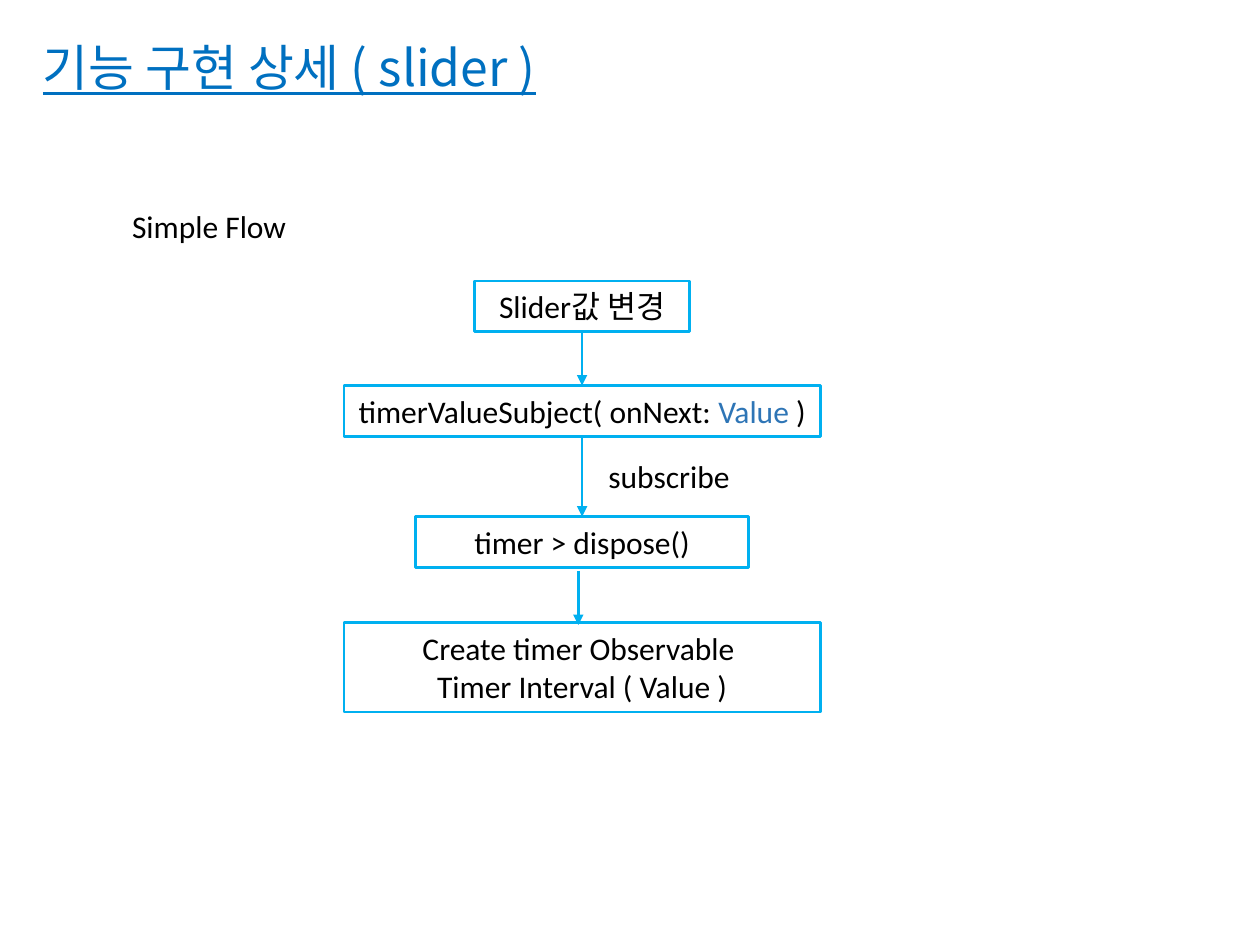
from lxml.etree import SubElement
from pptx import Presentation
from pptx.dml.color import RGBColor
from pptx.enum.shapes import MSO_CONNECTOR, MSO_SHAPE
from pptx.enum.text import MSO_ANCHOR, MSO_AUTO_SIZE, PP_ALIGN
from pptx.oxml.ns import qn
from pptx.util import Inches, Pt

BLACK = RGBColor(0x00, 0x00, 0x00)
TITLE_BLUE = RGBColor(0x00, 0x70, 0xC0)
VALUE_BLUE = RGBColor(0x2E, 0x75, 0xB6)
LINE_BLUE = RGBColor(0x00, 0xB0, 0xF0)

COLUMNS, ROWS = 100, 75
CENTER = 46.2
TEXT_HEIGHT = 4.04
BOTTOM, TOP = 2, 0


class FlowSlide:
    font_name = "Calibri"
    title_font = "Noto Sans CJK KR"
    font_size = Pt(18)
    line_width = Pt(1.5)

    def __init__(self, presentation):
        self.slide = presentation.slides.add_slide(presentation.slide_layouts[6])
        self.column = presentation.slide_width / COLUMNS
        self.row = presentation.slide_height / ROWS

    def x(self, columns):
        return round(columns * self.column)

    def y(self, rows):
        return round(rows * self.row)

    def area(self, left, top, width, height):
        return self.x(left), self.y(top), self.x(width), self.y(height)

    def set_text(self, shape, text, accent=None):
        frame = shape.text_frame
        frame.word_wrap = True
        frame.auto_size = MSO_AUTO_SIZE.SHAPE_TO_FIT_TEXT
        paragraph = frame.paragraphs[0]
        paragraph.font.name = self.font_name
        paragraph.font.size = self.font_size
        paragraph.font.color.rgb = BLACK
        if accent is None:
            paragraph.text = text
        else:
            before, after = text.rsplit(accent, 1)
            for part in (before, accent, after):
                run = paragraph.add_run()
                run.text = part
                if part == accent:
                    run.font.color.rgb = VALUE_BLUE
        return paragraph

    def title(self, text, left, top, width, height):
        shape = self.slide.shapes.add_textbox(*self.area(left, top, width, height))
        paragraph = self.set_text(shape, text)
        frame = shape.text_frame
        frame.auto_size = MSO_AUTO_SIZE.NONE
        frame.vertical_anchor = MSO_ANCHOR.BOTTOM
        frame.margin_left = frame.margin_right = Inches(0.07)
        frame.margin_top = frame.margin_bottom = Inches(0.04)
        paragraph.line_spacing = 0.9
        font = paragraph.font
        font.name = self.title_font
        font.size = Pt(28.5)
        font.color.rgb = TITLE_BLUE
        font.underline = True
        properties = paragraph._p.pPr.find(qn("a:defRPr"))
        east_asian = SubElement(properties, qn("a:ea"), typeface=self.title_font)
        properties.find(qn("a:latin")).addnext(east_asian)

    def label(self, text, left, top, width):
        area = self.area(left, top, width, TEXT_HEIGHT)
        self.set_text(self.slide.shapes.add_textbox(*area), text)

    def box(self, text, top, width, height=TEXT_HEIGHT, accent=None):
        area = self.area(CENTER - width / 2, top, width, height)
        shape = self.slide.shapes.add_shape(MSO_SHAPE.RECTANGLE, *area)
        shape.shadow.inherit = False
        shape.fill.background()
        shape.line.color.rgb = LINE_BLUE
        shape.line.width = self.line_width
        self.set_text(shape, text, accent).alignment = PP_ALIGN.CENTER
        return shape

    def arrow(self, column=0, start=0, end=0):
        connector = self.slide.shapes.add_connector(
            MSO_CONNECTOR.STRAIGHT,
            self.x(column), self.y(start), self.x(column), self.y(end),
        )
        connector.line.color.rgb = LINE_BLUE
        connector.line.width = self.line_width
        properties = connector._element.spPr
        SubElement(properties.find(qn("a:ln")), qn("a:tailEnd"), type="triangle")
        SubElement(properties, qn("a:effectLst"))
        return connector

    def join(self, upper, lower):
        connector = self.arrow()
        connector.begin_connect(upper, BOTTOM)
        connector.end_connect(lower, TOP)


def main():
    presentation = Presentation()
    presentation.slide_width = Inches(10)
    presentation.slide_height = Inches(7.5)

    flow = FlowSlide(presentation)
    flow.title("기능 구현 상세 ( slider )", 2.7, 1.7, 47.3, 6.4)
    flow.label("Simple Flow", 9.5, 15.9, 29.6)

    change = flow.box("Slider값 변경", 22.3, 17.1)
    subject = flow.box("timerValueSubject( onNext: Value )", 30.6, 37.8, accent="Value")
    dispose = flow.box("timer > dispose()", 41, 26.4)
    flow.box("Create timer Observable \vTimer Interval ( Value )", 49.4, 37.8, 7.1)

    flow.join(change, subject)
    flow.join(subject, dispose)
    flow.arrow(45.9, 45.3, 49.6)
    flow.label("subscribe", 47.3, 35.8, 24.1)

    presentation.save("out.pptx")


if __name__ == "__main__":
    main()
